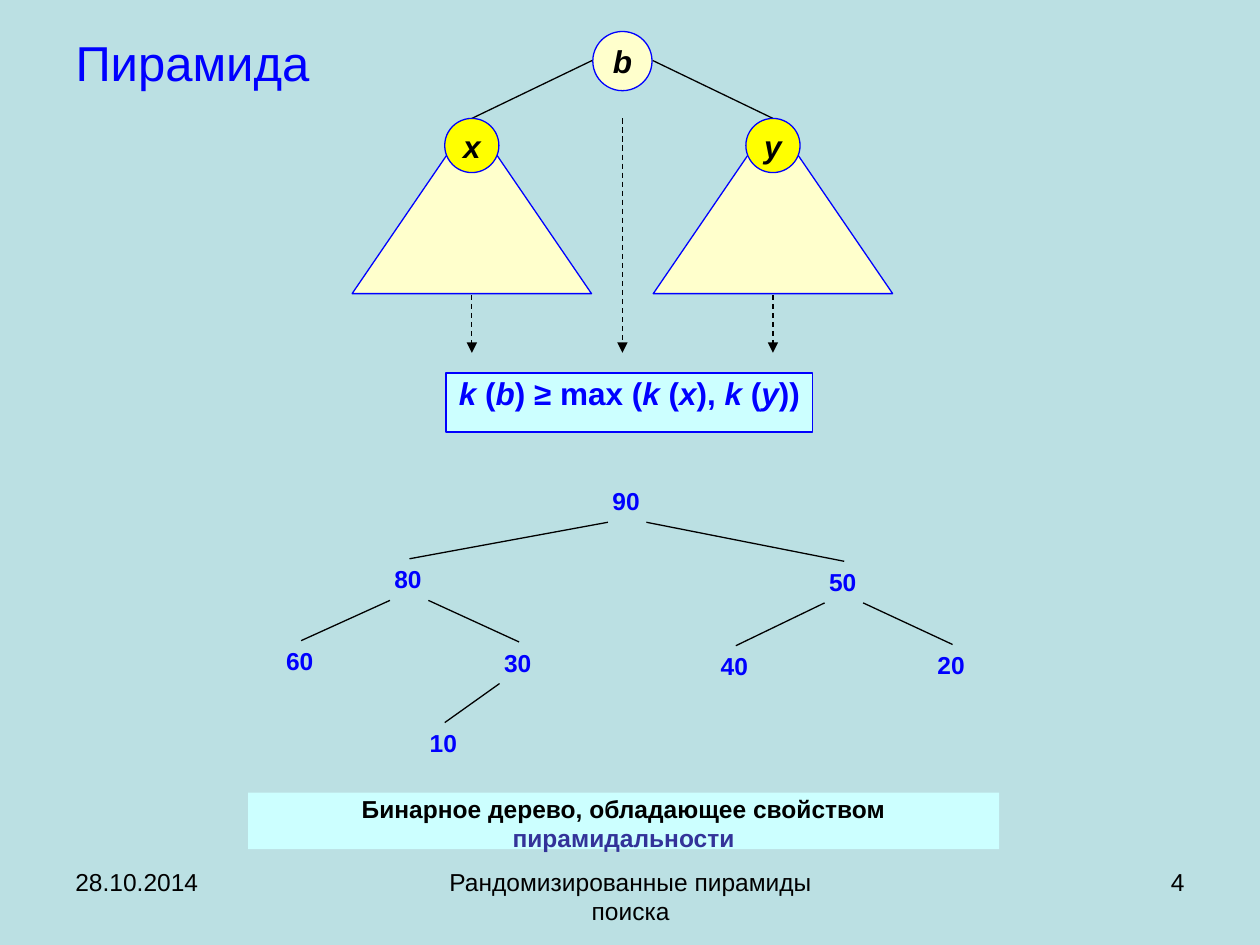
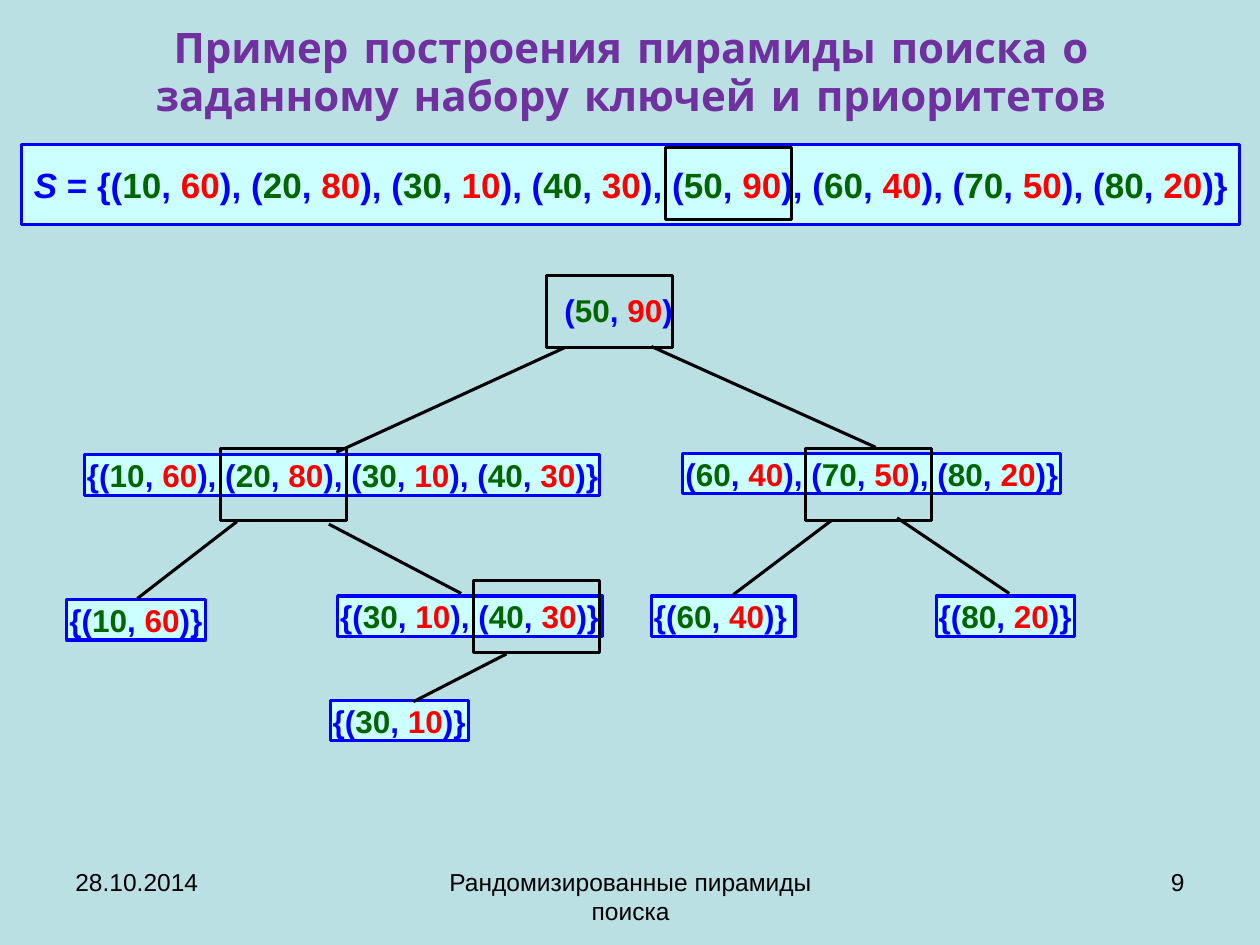
from pptx import Presentation
from pptx.dml.color import RGBColor
from pptx.enum.dml import MSO_LINE
from pptx.enum.shapes import MSO_CONNECTOR, MSO_SHAPE
from pptx.enum.text import MSO_ANCHOR, MSO_AUTO_SIZE, PP_ALIGN
from pptx.oxml.ns import qn
from pptx.util import Inches, Pt
from lxml.etree import SubElement

COLORS = {
    "background": "BBE0E3",
    "blue": "0000FF",
    "black": "000000",
    "cream": "FFFFCC",
    "yellow": "FFFF00",
    "panel": "CCFFFF",
    "indigo": "333399",
    "purple": "7030A0",
    "key": "006600",
    "priority": "FF0000",
}
COLUMNS, ROWS = 100, 75
CELL = Inches(0.1)
THIN, THICK = 0.75, 1.75
TIGHT = (0.2, 0.1)
ROOMY = (1, 0.5)
TITLE_ONLY = 5
PRIORITIES = {10: 60, 20: 80, 30: 10, 40: 30, 50: 90, 60: 40, 70: 50, 80: 20}


def cells(*counts):
    return [round(count * CELL) for count in counts]


def color(name):
    return RGBColor.from_string(COLORS[name])


def write(box, text, size=18, ink="black", bold=False, font="Arial", align=PP_ALIGN.LEFT,
          anchor=MSO_ANCHOR.TOP, insets=TIGHT, wrap=True, spacing=None):
    frame = box.text_frame
    frame.auto_size = MSO_AUTO_SIZE.NONE
    frame.word_wrap = wrap
    frame.vertical_anchor = anchor
    side, edge = cells(*insets)
    frame.margin_left = frame.margin_right = side
    frame.margin_top = frame.margin_bottom = edge
    para = frame.paragraphs[0]
    para.alignment = align
    if spacing:
        para.line_spacing = spacing
    pieces = [(text, {})] if isinstance(text, str) else text
    for words, changes in pieces:
        span = para.add_run()
        span.text = words
        span.font.name = font
        span.font.size = Pt(size)
        span.font.bold = bold
        span.font.italic = changes.get("italic", False)
        span.font.color.rgb = color(changes.get("ink", ink))


def add_figure(page, kind, place, fill=None, line=None, width=THIN):
    figure = page.shapes.add_shape(kind, *cells(*place))
    figure.shadow.inherit = False
    if fill:
        figure.fill.solid()
        figure.fill.fore_color.rgb = color(fill)
    else:
        figure.fill.background()
    if line:
        figure.line.color.rgb = color(line)
        figure.line.width = Pt(width)
    else:
        figure.line.fill.background()
    return figure


def add_label(page, place, text, **style):
    box = page.shapes.add_textbox(*cells(*place))
    write(box, text, **style)


def add_edge(page, start, end, width=THIN, arrow=False):
    edge = page.shapes.add_connector(MSO_CONNECTOR.STRAIGHT, *cells(*start, *end))
    edge.line.color.rgb = color("black")
    edge.line.width = Pt(width)
    if arrow:
        edge.line.dash_style = MSO_LINE.DASH
        SubElement(edge.line._get_or_add_ln(), qn("a:tailEnd"), type="triangle")
    SubElement(edge._element.spPr, qn("a:effectLst"))


def add_page(deck, number, title, place, **style):
    page = deck.slides.add_slide(deck.slide_layouts[TITLE_ONLY])
    box = page.shapes.title
    box.left, box.top, box.width, box.height = cells(*place)
    write(box, title, anchor=MSO_ANCHOR.MIDDLE, insets=ROOMY, **style)
    footers = [
        (5, 23.3, "28.10.2014", PP_ALIGN.LEFT),
        (34.2, 31.7, "Рандомизированные пирамиды поиска", PP_ALIGN.CENTER),
        (71.7, 23.3, str(number), PP_ALIGN.RIGHT),
    ]
    for left, width, text, align in footers:
        add_label(page, (left, 68.3, width, 5.2), text, size=14, align=align, insets=ROOMY)
    return page


def italic_pieces(text):
    return [(words, {"italic": index % 2 == 1})
            for index, words in enumerate(text.split("*")) if words]


def pair_pieces(keys, opening="{", closing="}"):
    pieces = []
    lead = opening + "("
    for key in keys:
        pieces += [(lead, {}), (str(key), {"ink": "key"}), (", ", {}),
                   (str(PRIORITIES[key]), {"ink": "priority"})]
        lead = "), ("
    return pieces + [(")" + closing, {})]


def add_node(page, center, top, diameter, name, fill):
    place = (center - diameter / 2, top, diameter, diameter)
    node = add_figure(page, MSO_SHAPE.OVAL, place, fill, "blue")
    write(node, italic_pieces(f"*{name}*"), bold=True, align=PP_ALIGN.CENTER,
          anchor=MSO_ANCHOR.MIDDLE, wrap=False, insets=(0, 0))


def draw_heap_rule(page):
    middle, reach, width = 49.4, 11.95, 19
    add_node(page, middle, 2.5, 4.7, "b", "cream")
    for side, name in ((-1, "x"), (1, "y")):
        center = middle + side * reach
        add_figure(page, MSO_SHAPE.ISOSCELES_TRIANGLE,
                   (center - width / 2, 9.4, width, 13.9), "cream", "blue")
        add_edge(page, (middle + side * 2.4, 4.8), (center, 9.4))
        add_edge(page, (center, 23.4), (center, 28), arrow=True)
        add_node(page, center, 9.4, 4.3, name, "yellow")
    add_edge(page, (middle, 9.4), (middle, 28), arrow=True)
    rule = add_figure(page, MSO_SHAPE.RECTANGLE, (35.4, 29.6, 29.1, 4.7), "panel", "blue")
    write(rule, italic_pieces("*k* (*b*) ≥ max (*k* (*x*), *k* (*y*))"),
          ink="blue", bold=True, align=PP_ALIGN.CENTER)


def draw_heap_tree(page):
    width, height, gap = 2.8, 2.6, 0.35
    corners = {90: (48.4, 38.5), 80: (31.1, 44.7), 50: (65.6, 44.9), 60: (22.5, 51.2),
               30: (39.8, 51.3), 40: (57, 51.6), 20: (74.2, 51.5), 10: (33.9, 57.7)}
    children = {90: (80, 50), 80: (60, 30), 50: (40, 20), 30: (10,)}
    for number, corner in corners.items():
        add_label(page, (*corner, width, height), str(number), size=14, ink="blue",
                  bold=True, wrap=False)
    for parent, branches in children.items():
        left, top = corners[parent]
        for child, start in zip(branches, (left - 0.15, left + width + 0.1)):
            child_left, child_top = corners[child]
            add_edge(page, (start, top + height + gap),
                     (child_left + width / 2, child_top - gap))


def draw_pyramid(deck):
    page = add_page(deck, 4, "Пирамида", (5, 1.3, 21.4, 7.3), size=28, ink="blue", wrap=False)
    draw_heap_rule(page)
    draw_heap_tree(page)
    caption = add_figure(page, MSO_SHAPE.RECTANGLE, (19.7, 62.9, 59.6, 4.5), "panel")
    write(caption, [("Бинарное дерево, обладающее свойством ", {}),
                    ("пирамидальности", {"ink": "indigo"})],
          size=14, bold=True, align=PP_ALIGN.CENTER, insets=(1, 0.1))


def draw_example(deck):
    page = add_page(
        deck, 9, "Пример построения пирамиды поиска о заданному набору ключей и приоритетов",
        (5.1, 1.6, 90, 8.4), size=24, ink="purple", bold=True, font="Comic Neue",
        align=PP_ALIGN.CENTER, spacing=0.95)
    whole = add_figure(page, MSO_SHAPE.RECTANGLE, (1.7, 11.5, 96.7, 6.3),
                       "panel", "blue", THICK)
    write(whole, [("S", {"italic": True}), (" = ", {})] + pair_pieces(PRIORITIES),
          size=20, ink="blue", bold=True, anchor=MSO_ANCHOR.MIDDLE, insets=ROOMY, wrap=False)
    add_label(page, (44.6, 23, 9, 3.2), pair_pieces([50], "", ""),
              ink="blue", bold=True, wrap=False)

    subsets = [
        ((6.7, 36.1, 40.9), (10, 20, 30, 40), "{"),
        ((54.2, 36, 30), (60, 70, 80), ""),
        ((5.3, 47.6, 11), (10,), "{"),
        ((26.8, 47.3, 21), (30, 40), "{"),
        ((51.7, 47.3, 11.4), (60,), "{"),
        ((74.3, 47.3, 11), (80,), "{"),
        ((26.2, 55.6, 11), (30,), "{"),
    ]
    for place, keys, opening in subsets:
        subset = add_figure(page, MSO_SHAPE.RECTANGLE, (*place, 3.2), "panel", "blue", THICK)
        write(subset, pair_pieces(keys, opening), ink="blue", bold=True, wrap=False)

    for corner in ((52.8, 11.7), (43.4, 21.9), (17.5, 35.6), (63.9, 35.6), (37.6, 46.1)):
        add_figure(page, MSO_SHAPE.RECTANGLE, (*corner, 10, 5.7), line="black", width=THICK)

    edges = [
        ((44.8, 27.6), (26.7, 35.9)), ((51.7, 27.5), (69.5, 35.5)),
        ((18.8, 41.4), (10.9, 47.5)), ((26.1, 41.6), (36.6, 47.1)),
        ((66, 41.3), (58.2, 47.2)), ((71.2, 41.1), (80.1, 47.1)),
        ((40.2, 51.9), (32.8, 55.7)),
    ]
    for start, end in edges:
        add_edge(page, start, end, THICK)


def main():
    deck = Presentation()
    deck.slide_width, deck.slide_height = cells(COLUMNS, ROWS)
    backdrop = deck.slide_master.background.fill
    backdrop.solid()
    backdrop.fore_color.rgb = color("background")
    draw_pyramid(deck)
    draw_example(deck)
    deck.save("out.pptx")


if __name__ == "__main__":
    main()
